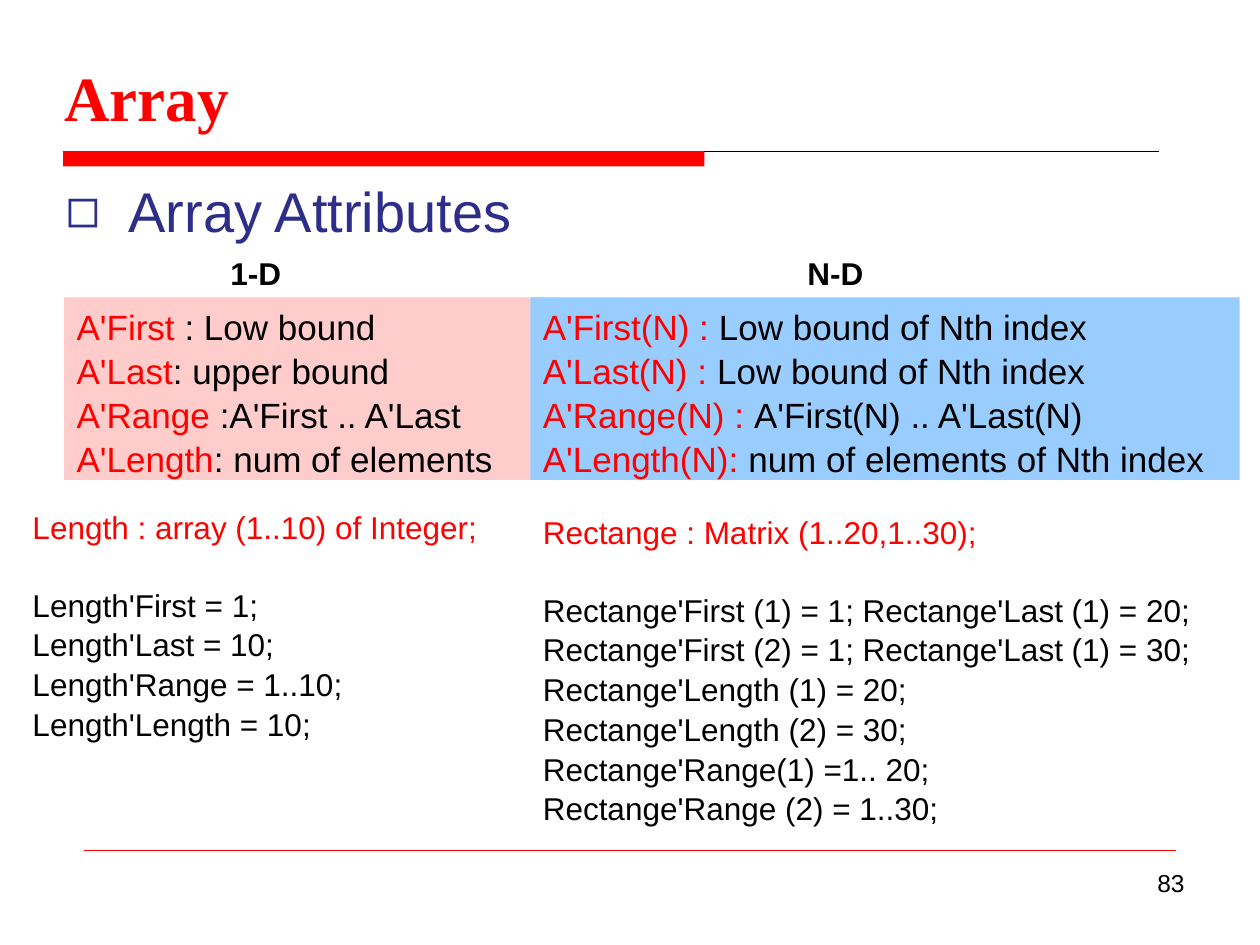
from dataclasses import dataclass

from lxml.etree import SubElement
from pptx import Presentation
from pptx.dml.color import RGBColor
from pptx.enum.shapes import MSO_CONNECTOR, MSO_SHAPE
from pptx.enum.text import MSO_ANCHOR, PP_ALIGN
from pptx.oxml.ns import qn
from pptx.util import Inches, Pt


# Theme
@dataclass(frozen=True)
class Theme:
    red: str = "FF0000"
    black: str = "000000"
    navy: str = "2D2D8A"
    pink: str = "FFCCCC"
    blue: str = "99CCFF"
    sans: str = "Arial"
    serif: str = "Times New Roman"
    title: int = 36
    heading: int = 32
    panel: int = 20
    code: int = 18
    number: int = 14
    leading: float = 1.05


THEME = Theme()

# Content: each attribute is a red name followed by a black meaning
TITLE = "Array"
HEADING = "Array Attributes"
PAGE_NUMBER = "83"
COLUMNS = [
    {
        "label": "1-D", "label_left": 1.73, "panel": (0.51, 3.96), "fill": THEME.pink,
        "attributes": [
            ("A'First ", ": Low bound"),
            ("A'Last", ": upper bound"),
            ("A'Range ", ":A'First .. A'Last"),
            ("A'Length", ": num of elements"),
        ],
        "example": (0.16, 3.97, 3.9, 2.22),
        "declaration": "Length : array (1..10) of Integer;",
        "results": [
            "Length'First = 1;",
            "Length'Last = 10;",
            "Length'Range = 1..10;",
            "Length'Length = 10;",
        ],
    },
    {
        "label": "N-D", "label_left": 6.31, "panel": (4.21, 5.63), "fill": THEME.blue,
        "attributes": [
            ("A'First(N) : ", "Low bound of Nth index"),
            ("A'Last(N) : ", "Low bound of Nth index"),
            ("A'Range(N) : ", "A'First(N) .. A'Last(N)"),
            ("A'Length(N):", " num of elements of Nth index"),
        ],
        "example": (4.21, 4.01, 5.5, 2.52),
        "declaration": "Rectange : Matrix (1..20,1..30);",
        "results": [
            "Rectange'First (1) = 1; Rectange'Last (1) = 20;",
            "Rectange'First (2) = 1; Rectange'Last (1) = 30;",
            "Rectange'Length (1) = 20;",
            "Rectange'Length (2) = 30;",
            "Rectange'Range(1) =1.. 20;",
            "Rectange'Range (2) = 1..30;",
        ],
    },
]


# Helpers
def color(code):
    return RGBColor.from_string(code)


def place(shape, left, top, width, height):
    shape.left, shape.top = Inches(left), Inches(top)
    shape.width, shape.height = Inches(width), Inches(height)


def add_span(para, text, size, ink, bold=False, face=THEME.sans):
    span = para.add_run()
    span.text = text
    span.font.name, span.font.size, span.font.bold = face, Pt(size), bold
    span.font.color.rgb = color(ink)


def write_lines(frame, lines, size, bold=False, align=PP_ALIGN.JUSTIFY):
    """Each line is a list of (text, colour) pairs."""
    for index, line in enumerate(lines):
        para = frame.add_paragraph() if index else frame.paragraphs[0]
        para.alignment, para.line_spacing = align, THEME.leading
        for text, ink in line:
            add_span(para, text, size, ink, bold)


def add_text(page, area, lines, size, **style):
    box = page.shapes.add_textbox(*map(Inches, area))
    box.text_frame.word_wrap = True
    write_lines(box.text_frame, lines, size, **style)
    return box


def add_bar(page, area, fill):
    bar = page.shapes.add_shape(MSO_SHAPE.RECTANGLE, *map(Inches, area))
    bar.shadow.inherit = False
    bar.fill.solid()
    bar.fill.fore_color.rgb = color(fill)
    bar.line.fill.background()
    return bar


def add_rule(page, left, right, top, ink, weight):
    rule = page.shapes.add_connector(
        MSO_CONNECTOR.STRAIGHT, Inches(left), Inches(top), Inches(right), Inches(top))
    rule.line.color.rgb, rule.line.width = color(ink), Pt(weight)
    SubElement(rule._element.spPr, qn("a:effectLst"))


def fill_placeholder(holder, area, text, size, ink, **style):
    place(holder, *area)
    frame = holder.text_frame
    frame.margin_left = frame.margin_right = frame.margin_top = frame.margin_bottom = 0
    frame.vertical_anchor = MSO_ANCHOR.TOP
    para = frame.paragraphs[0]
    para.alignment, para.space_before = PP_ALIGN.LEFT, Pt(0)
    add_span(para, text, size, ink, **style)
    return para


def add_square_bullet(para, indent, ink):
    properties = para._p.get_or_add_pPr()
    properties.set("marL", str(Inches(indent)))
    properties.set("indent", str(-Inches(indent)))
    bullet_color = SubElement(properties, qn("a:buClr"))
    SubElement(bullet_color, qn("a:srgbClr"), val=ink)
    SubElement(properties, qn("a:buChar"), char="◻")


def add_column(page, column):
    add_text(page, (column["label_left"], 1.95, 0.98, 0.4),
             [[(column["label"], THEME.black)]], THEME.code, bold=True)

    left, width = column["panel"]
    panel = add_bar(page, (left, 2.36, width, 1.45), column["fill"])
    panel.text_frame.word_wrap = True
    panel.text_frame.vertical_anchor = MSO_ANCHOR.TOP
    write_lines(panel.text_frame,
                [[(name, THEME.red), (meaning, THEME.black)]
                 for name, meaning in column["attributes"]], THEME.panel)

    lines = [[(column["declaration"], THEME.red)]]
    lines += [[(result, THEME.black)] for result in column["results"]]
    example = add_text(page, column["example"], lines, THEME.code)
    # One line of air under the declaration
    example.text_frame.paragraphs[0].space_after = Pt(THEME.code * 1.2)


def main():
    deck = Presentation()
    deck.slide_width, deck.slide_height = Inches(10), Inches(7.5)
    page = deck.slides.add_slide(deck.slide_layouts[1])

    # Rules
    add_rule(page, 0.5, 9.2, 1.2, THEME.black, 0.5)
    add_bar(page, (0.5, 1.2, 5.09, 0.12), THEME.red)
    add_rule(page, 0.67, 9.33, 6.75, THEME.red, 0.25)

    # Title and heading
    title = fill_placeholder(page.shapes.title, (0.51, 0.6, 8.2, 0.48), TITLE,
                             THEME.title, THEME.red, bold=True, face=THEME.serif)
    title.line_spacing = Pt(33.7)
    heading = fill_placeholder(page.placeholders[1], (0.52, 1.4, 8.18, 0.54), HEADING,
                               THEME.heading, THEME.navy)
    add_square_bullet(heading, 0.5, THEME.navy)

    # Columns and page number
    for column in COLUMNS:
        add_column(page, column)
    add_text(page, (7.17, 6.83, 2.33, 0.52), [[(PAGE_NUMBER, THEME.black)]],
             THEME.number, align=PP_ALIGN.RIGHT)

    deck.save("out.pptx")


if __name__ == "__main__":
    main()
